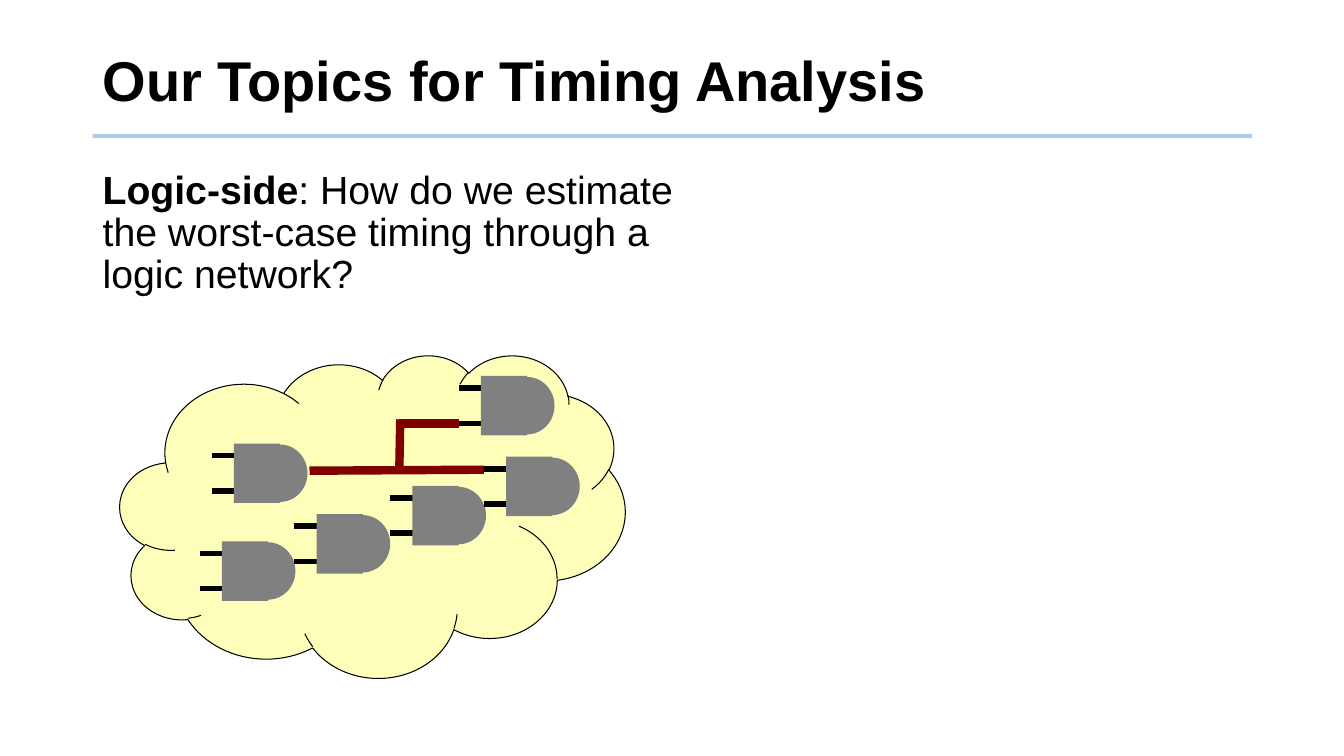
from lxml import etree
from pptx import Presentation
from pptx.dml.color import RGBColor
from pptx.enum.shapes import MSO_CONNECTOR, MSO_SHAPE
from pptx.enum.text import MSO_ANCHOR, PP_ALIGN
from pptx.oxml.ns import qn
from pptx.util import Inches, Pt

BLACK, GRAY, YELLOW, RED, BLUE = "000000", "808080", "FCFEB9", "800000", "5B9BD5"

# Left and top of each gate, relative to the cloud
GATES = [(0.79, 1.85), (1.73, 1.58), (2.68, 1.3), (0.91, 0.88), (3.61, 1.01), (3.36, 0.21)]
# Ends of each wire, relative to the cloud
WIRES = [((1.88, 1.15), (3.61, 1.14)), ((2.77, 0.68), (3.36, 0.68)), ((2.77, 1.17), (2.78, 0.64))]


def rgb(color):
    return RGBColor.from_string(color)


def add_text(slide, box, runs, size, anchor=MSO_ANCHOR.TOP, space_before=0):
    """Add a one-paragraph text box; runs are (text, bold) pairs."""
    tf = slide.shapes.add_textbox(*map(Inches, box)).text_frame
    tf.word_wrap = True
    tf.vertical_anchor = anchor
    p = tf.paragraphs[0]
    p.alignment = PP_ALIGN.LEFT
    p.line_spacing = 0.9
    p.space_before = Pt(space_before)
    for text, bold in runs:
        r = p.add_run()
        r.text = text
        r.font.name = "Arial"
        r.font.size = Pt(size)
        r.font.bold = bold
        r.font.color.rgb = rgb(BLACK)


def add_shape(slide, kind, box, fill, line=None):
    sp = slide.shapes.add_shape(kind, *map(Inches, box))
    sp.shadow.inherit = False
    sp.fill.solid()
    sp.fill.fore_color.rgb = rgb(fill)
    if line:
        sp.line.color.rgb = rgb(line)
        sp.line.width = Pt(0.75)
    else:
        sp.line.fill.background()


def add_line(slide, start, end, color, width, alpha=None):
    """Add a straight line; alpha is its opacity in percent."""
    cxn = slide.shapes.add_connector(MSO_CONNECTOR.STRAIGHT, *map(Inches, (*start, *end)))
    cxn.line.color.rgb = rgb(color)
    cxn.line.width = Pt(width)
    sp_pr = cxn._element.spPr
    etree.SubElement(sp_pr, qn("a:effectLst"))
    if alpha is not None:
        clr = sp_pr.find(".//" + qn("a:srgbClr"))
        etree.SubElement(clr, qn("a:alpha")).set("val", str(alpha * 1000))


def add_header(slide, x, y, w, h):
    add_line(slide, (x, y + 1.07), (x + w, y + 1.07), BLUE, 3, alpha=50)
    add_text(slide, (x, y, w, h), [("Our Topics for Timing Analysis", True)], 40,
             anchor=MSO_ANCHOR.MIDDLE)


def add_question(slide, x, y, w, h):
    runs = [("Logic-side", True),
            (": How do we estimate the worst-case timing through a logic network?", False)]
    add_text(slide, (x, y, w, h), runs, 28, space_before=10)


def add_gate(slide, x, y):
    """Draw a two-input AND gate whose input pins start at x."""
    for pin_y in (y + 0.12, y + 0.47):
        add_line(slide, (x, pin_y), (x + 0.29, pin_y), BLACK, 4)
    add_shape(slide, MSO_SHAPE.RECTANGLE, (x + 0.22, y, 0.46, 0.59), GRAY)
    add_shape(slide, MSO_SHAPE.OVAL, (x + 0.4, y + 0.01, 0.55, 0.57), GRAY)


def add_logic_network(slide, x, y, w, h):
    add_shape(slide, MSO_SHAPE.CLOUD, (x, y, w, h), YELLOW, line=BLACK)
    for dx, dy in GATES:
        add_gate(slide, x + dx, y + dy)
    for (x1, y1), (x2, y2) in WIRES:
        add_line(slide, (x + x1, y + y1), (x + x2, y + y2), RED, 6)


def main():
    prs = Presentation()
    prs.slide_width, prs.slide_height = Inches(13.33), Inches(7.5)
    slide = prs.slides.add_slide(prs.slide_layouts[6])
    add_header(slide, 0.92, 0.28, 11.5, 1.1)
    add_question(slide, 0.92, 1.64, 5.88, 1.86)
    add_logic_network(slide, 1.19, 3.52, 5.01, 3.2)
    prs.save("out.pptx")


if __name__ == "__main__":
    main()
